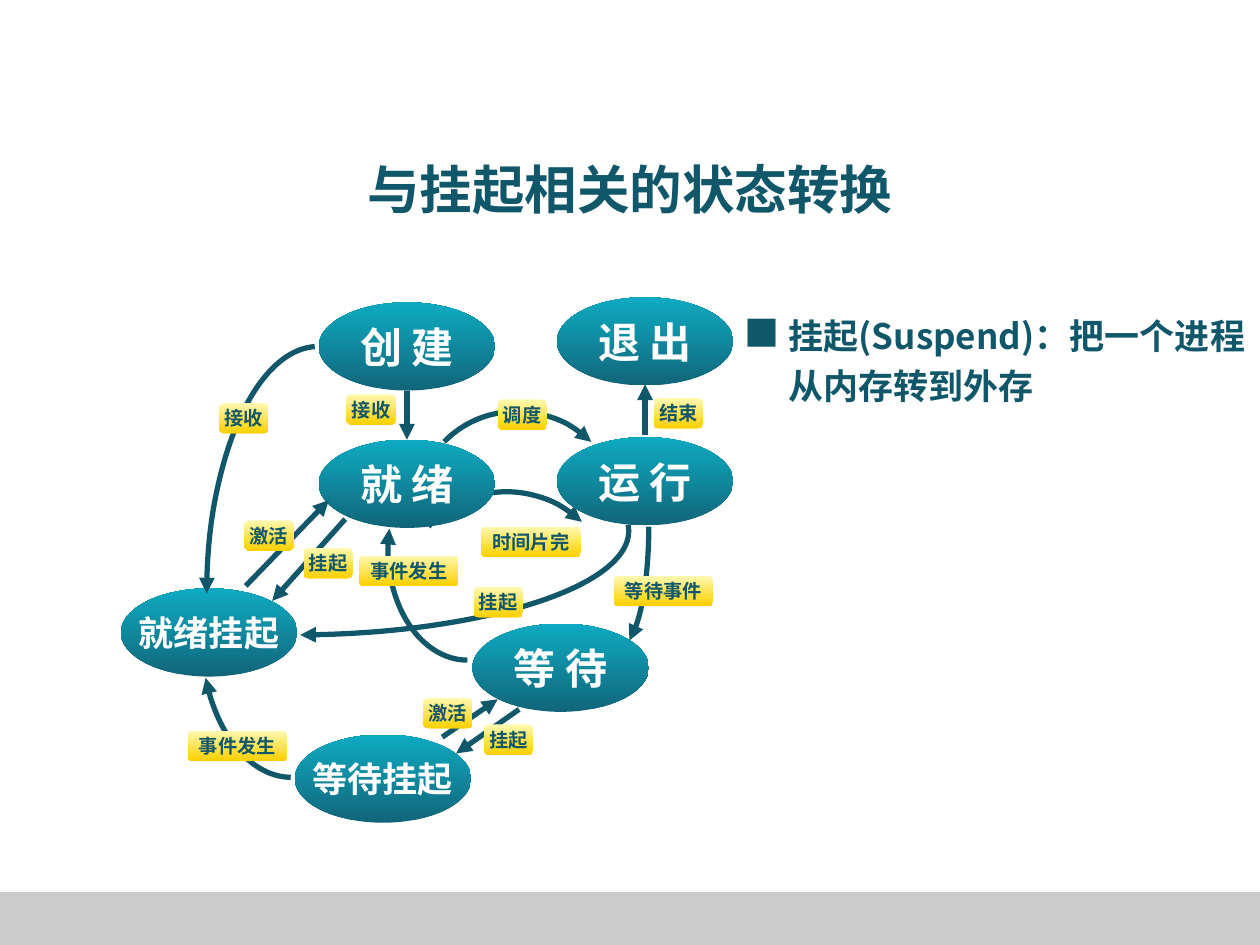
from copy import deepcopy
from lxml.etree import SubElement
from pptx import Presentation
from pptx.dml.color import RGBColor
from pptx.enum.shapes import MSO_CONNECTOR as Connector, MSO_SHAPE as Shape
from pptx.enum.text import MSO_ANCHOR as Anchor, PP_ALIGN as Align
from pptx.oxml.ns import qn
from pptx.util import Inches, Pt

rgb = RGBColor.from_string
TEAL, WHITE, GRAY = "11576A", "FFFFFF", "CCCCCC"
STATE_STOPS = [(0, "116579"), (0.77, "0F9BB1"), (1, "0EABC2")]
LABEL_STOPS = [(0, "FFF9B1"), (1, "FDD000")]
STATE_WIDTH, STATE_HEIGHT = 1.4, 0.7
LABEL_HEIGHT = 0.24
LABEL_WIDTHS = {2: 0.39, 4: 0.79}


def add_run(paragraph, text, size, color, font="Noto Sans CJK SC"):
    run = paragraph.add_run()
    run.text = text
    run.font.size = Pt(size)
    run.font.bold = True
    run.font.color.rgb = rgb(color)
    run.font.name = font
    SubElement(run.font._element, qn("a:ea"), typeface=font)


def add_node(kind, box, stops, angle, text, size, color):
    shape = shapes.add_shape(kind, *map(Inches, box))
    shape.shadow.inherit = False
    shape.line.fill.background()
    shape.fill.gradient()
    shape.fill.gradient_angle = angle
    stop_list = shape._element.spPr.find(".//" + qn("a:gsLst"))
    while len(stop_list) < len(stops):
        stop_list.append(deepcopy(stop_list[-1]))
    for stop, (position, stop_color) in zip(shape.fill.gradient_stops, stops):
        stop.position = position
        stop.color.rgb = rgb(stop_color)
    frame = shape.text_frame
    frame.word_wrap = False
    frame.vertical_anchor = Anchor.MIDDLE
    frame.margin_left = frame.margin_right = 0
    frame.margin_top = frame.margin_bottom = 0
    frame.paragraphs[0].alignment = Align.CENTER
    add_run(frame.paragraphs[0], text, size, color)


presentation = Presentation()
presentation.slide_width = Inches(10)
presentation.slide_height = Inches(7.5)
slide = presentation.slides.add_slide(presentation.slide_layouts[5])
shapes = slide.shapes

footer = shapes.add_shape(Shape.RECTANGLE, 0, Inches(7.08), Inches(10), Inches(0.42))
footer.shadow.inherit = False
footer.fill.solid()
footer.fill.fore_color.rgb = rgb(GRAY)
footer.line.fill.background()

title = shapes.title
title.left, title.top = Inches(0.75), Inches(1.04)
title.width, title.height = Inches(8.5), Inches(0.92)
title.text_frame.vertical_anchor = Anchor.MIDDLE
title.text_frame.paragraphs[0].alignment = Align.CENTER
add_run(title.text_frame.paragraphs[0], "与挂起相关的状态转换", 30, TEAL)

states = [
    ("创 建", 2.53, 2.4, 24),
    ("就 绪", 2.53, 3.49, 24),
    ("运 行", 4.42, 3.47, 24),
    ("等 待", 3.75, 4.95, 24),
    ("退 出", 4.42, 2.36, 24),
    ("就绪挂起", 0.96, 4.67, 20),
    ("等待挂起", 2.34, 5.83, 20),
]
for text, left, top, size in states:
    box = (left, top, STATE_WIDTH, STATE_HEIGHT)
    add_node(Shape.OVAL, box, STATE_STOPS, 90, text, size, WHITE)

arcs = [
    ((4.65, 3.2, 0.5, 1.96), (0.079, 50.345), 0, "", "tailEnd", True),
    ((3.21, 3.89, 1.67, 1.72), (160.583, 215.561), 314, "", "tailEnd", True),
    ((3.32, 3.25, 1.62, 1.68), (162, 0), 314, "", "tailEnd", False),
    ((-0.4, 3.39, 5.39, 1.65), (215.376, 50.368), 0, "", "tailEnd", False),
    ((3.08, 3.48, 1.26, 1.76), (207.141, 54), 0, "H", "headEnd", False),
    ((1.6, 3.92, 1.43, 2.25), (15.675, 53.778), 0, "H", "headEnd", False),
    ((1.64, 2.75, 1.77, 3.95), (0.537, 53.536), 0, "HV", "headEnd", False),
]
arrows = []
for box, angles, rotation, flips, arrow_end, behind in arcs:
    arc = shapes.add_shape(Shape.ARC, *map(Inches, box))
    arc.adjustments[0], arc.adjustments[1] = angles
    arc.rotation = rotation
    arc.fill.background()
    for axis in flips:
        arc._element.spPr.find(qn("a:xfrm")).set("flip" + axis, "1")
    if behind:
        shapes._spTree.insert(2, arc._element)
    arrows.append((arc, arrow_end))

straight_arrows = [
    (3.23, 3.1, 3.23, 3.49),
    (5.12, 3.45, 5.12, 3.05),
    (4.12, 5.63, 3.62, 5.98),
    (3.51, 5.85, 3.95, 5.55),
    (1.95, 4.65, 2.61, 3.97),
    (2.74, 4.12, 2.16, 4.77),
]
for points in straight_arrows:
    connector = shapes.add_connector(Connector.STRAIGHT, *map(Inches, points))
    arrows.append((connector, "tailEnd"))

for arrow, arrow_end in arrows:
    arrow.line.color.rgb = rgb(TEAL)
    arrow.line.width = Pt(3)
    properties = arrow._element.spPr
    SubElement(properties.find(qn("a:ln")), qn("a:" + arrow_end), type="triangle")
    SubElement(properties, qn("a:effectLst"))

labels = [
    ("挂起", 3.76, 4.66),
    ("接收", 1.74, 3.2),
    ("事件发生", 1.49, 5.8),
    ("接收", 2.75, 3.13),
    ("激活", 1.94, 4.13),
    ("挂起", 2.41, 4.35),
    ("事件发生", 2.85, 4.41),
    ("激活", 3.36, 5.54),
    ("挂起", 3.84, 5.75),
    ("等待事件", 4.87, 4.57),
    ("时间片完", 3.82, 4.18),
    ("调度", 3.95, 3.17),
    ("结束", 5.19, 3.16),
]
for text, left, top in labels:
    box = (left, top, LABEL_WIDTHS[len(text)], LABEL_HEIGHT)
    add_node(Shape.ROUNDED_RECTANGLE, box, LABEL_STOPS, 270, text, 11, TEAL)

notes = [
    ("挂起(Suspend)：把一个进程从内存转到外存", (6.16, 2.38, 3.88, 0.47), 1.2, "Noto Sans CJK SC"),
    ("■", (5.81, 2.42, 0.39, 0.44), 1, "Noto Sans CJK JP"),
]
for text, box, spacing, font in notes:
    text_box = shapes.add_textbox(*map(Inches, box))
    text_box.text_frame.word_wrap = True
    paragraph = text_box.text_frame.paragraphs[0]
    paragraph.line_spacing = spacing
    paragraph.space_before = Pt(4)
    add_run(paragraph, text, 20, TEAL, font)

presentation.save("out.pptx")
